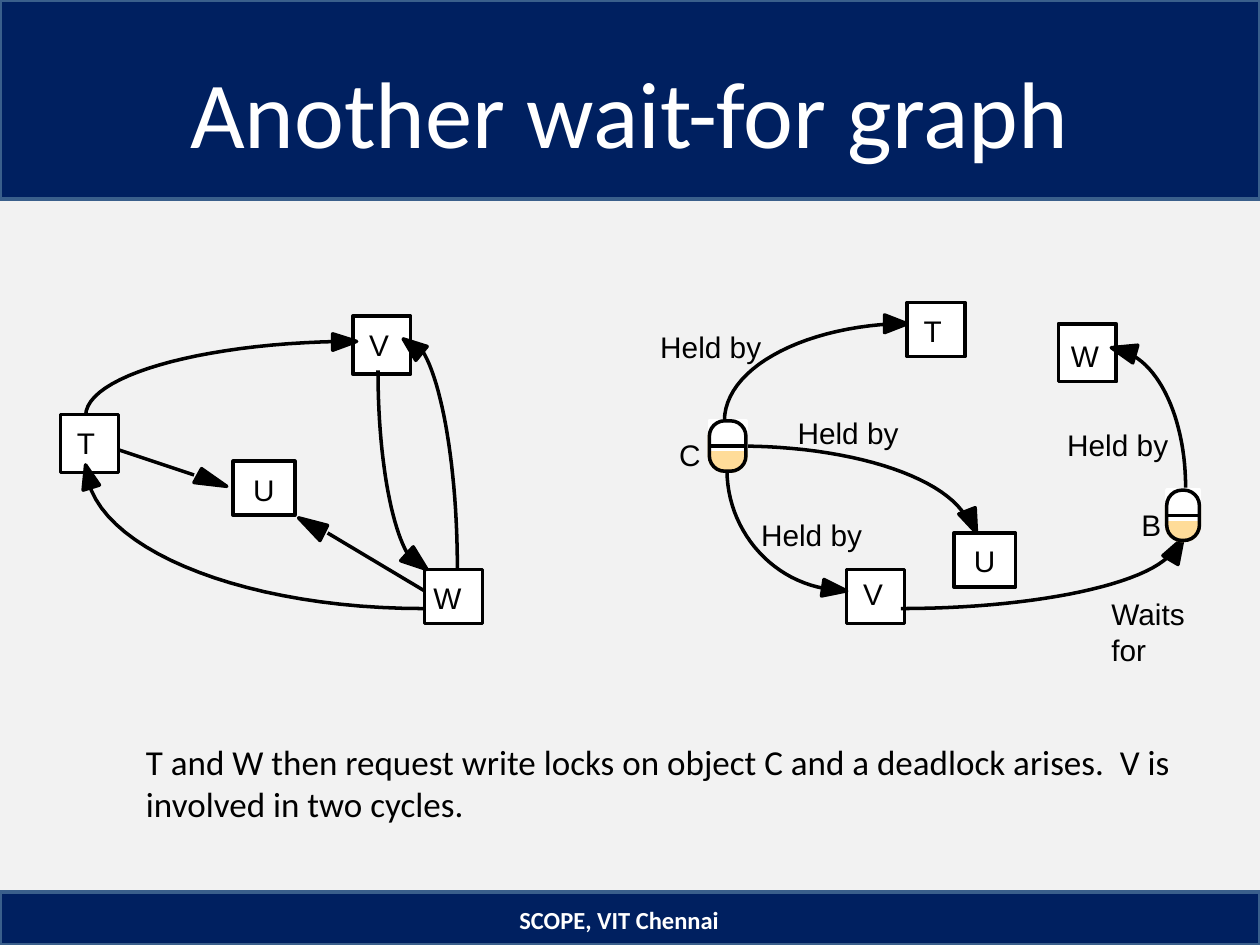
"""Build the wait-for graph slide."""
from typing import NamedTuple

import pptx
import pptx.dml.color
import pptx.enum.shapes
import pptx.enum.text
import pptx.oxml
import pptx.oxml.ns
import pptx.util

Inches = pptx.util.Inches
Kind = pptx.enum.shapes.MSO_SHAPE
Align = pptx.enum.text.PP_ALIGN
Anchor = pptx.enum.text.MSO_ANCHOR
Point = tuple[float, float]

NAVY, EDGE, GREY = "002060", "3A5F8B", "F2F2F2"
BLACK, WHITE, SAND = "000000", "FFFFFF", "FFDC99"
STEPS = 24


class Node(NamedTuple):
    name: str
    x: float
    y: float
    wide: float
    high: float
    dx: float
    dy: float


class Label(NamedTuple):
    text: str
    x: float
    y: float
    wide: float
    wrap: bool = False


class Store(NamedTuple):
    x: float
    y: float
    wide: float
    bend: float


class Link(NamedTuple):
    route: tuple[Point, ...]
    head: tuple[Point, Point, Point]


NODES = [
    Node("T", 0.48, 3.29, 0.46, 0.46, 0.13, 0.08),
    Node("U", 1.85, 3.66, 0.49, 0.43, 0.16, 0.08),
    Node("V", 2.8, 2.51, 0.46, 0.46, 0.13, 0.08),
    Node("W", 3.37, 4.52, 0.46, 0.43, 0.07, 0.08),
    Node("T", 7.2, 2.4, 0.46, 0.43, 0.13, 0.08),
    Node("U", 7.57, 4.23, 0.49, 0.43, 0.16, 0.08),
    Node("V", 6.72, 4.52, 0.46, 0.43, 0.13, 0.05),
    Node("W", 8.4, 2.57, 0.46, 0.46, 0.1, 0.11),
]
LABELS = [
    Label("C", 5.39, 3.47, 0.17),
    Label("B", 9.06, 4.02, 0.16),
    Label("Held by", 5.24, 2.61, 0.8),
    Label("Held by", 6.33, 3.29, 0.8),
    Label("Held by", 6.04, 4.1, 0.8),
    Label("Held by", 8.47, 3.39, 0.8),
    Label("Waits for", 8.82, 4.73, 0.92, True),
]
STORES = [Store(5.63, 3.34, 0.29, 0.42), Store(9.26, 3.89, 0.26, 0.47)]
LINKS = [
    Link(((5.86, 3.54), (6.73, 3.54), (7.46, 3.77), (7.66, 4.09)),
         ((7.61, 4.08), (7.74, 4.03), (7.75, 4.23))),
    Link(((5.77, 3.73), (5.77, 4.19), (6.1, 4.59), (6.54, 4.67)),
         ((6.52, 4.73), (6.54, 4.6), (6.72, 4.69))),
    Link(((5.75, 3.34), (5.75, 2.94), (6.33, 2.61), (7.09, 2.57)),
         ((7.02, 2.64), (7.02, 2.5), (7.2, 2.57))),
    Link(((0.68, 3.3), (0.68, 2.99), (1.57, 2.73), (2.7, 2.71)),
         ((2.64, 2.78), (2.64, 2.65), (2.83, 2.71))),
    Link(((9.41, 3.87), (9.41, 3.37), (9.23, 2.94), (8.97, 2.81)),
         ((9.03, 2.74), (8.99, 2.88), (8.82, 2.76))),
    Link(((7.15, 4.83), (8.14, 4.83), (9.02, 4.66), (9.27, 4.42)),
         ((9.35, 4.48), (9.23, 4.41), (9.39, 4.27))),
    Link(((3.36, 4.83), (2, 4.83), (0.86, 4.4), (0.7, 3.82)),
         ((0.79, 3.85), (0.66, 3.89), (0.68, 3.69))),
    Link(((3.63, 4.51), (3.63, 3.73), (3.51, 3.03), (3.35, 2.78)),
         ((3.39, 2.75), (3.3, 2.86), (3.2, 2.69))),
    Link(((3, 2.94), (3, 3.6), (3.1, 4.19), (3.25, 4.42)),
         ((3.18, 4.45), (3.28, 4.34), (3.39, 4.52))),
    Link(((0.94, 3.57), (1.54, 3.77)),
         ((1.6, 3.72), (1.54, 3.83), (1.8, 3.86))),
    Link(((3.37, 4.69), (2.6, 4.23)),
         ((2.54, 4.29), (2.6, 4.17), (2.37, 4.11))),
]


def tint(code: str):
    return pptx.dml.color.RGBColor.from_string(code)


def paint(shape, fill: str | None, line: str | None):
    shape.shadow.inherit = False
    if fill:
        shape.fill.solid()
        shape.fill.fore_color.rgb = tint(fill)
    else:
        shape.fill.background()
    if line:
        shape.line.color.rgb = tint(line)
        shape.line.width = pptx.util.Pt(2)
    else:
        shape.line.fill.background()
    return shape


def block(slide, kind, x: float, y: float, wide: float, high: float,
          fill: str | None = None, line: str | None = None):
    shape = slide.shapes.add_shape(
        kind, Inches(x), Inches(y), Inches(wide), Inches(high))
    return paint(shape, fill, line)


def write(box, text: str, *, size: float = 17, font: str = "Arial",
          color: str = BLACK, bold: bool = False, align=Align.LEFT,
          anchor=Anchor.TOP, wrap: bool = True,
          inset: Point = (0, 0)) -> None:
    frame = box.text_frame
    frame.auto_size = pptx.enum.text.MSO_AUTO_SIZE.NONE
    frame.word_wrap = wrap
    frame.vertical_anchor = anchor
    frame.margin_left = frame.margin_right = Inches(inset[0])
    frame.margin_top = frame.margin_bottom = Inches(inset[1])
    para = frame.paragraphs[0]
    para.alignment = align
    run = para.add_run()
    run.text = text
    run.font.size = pptx.util.Pt(size)
    run.font.name = font
    run.font.bold = bold
    run.font.color.rgb = tint(color)


def place(slide, x: float, y: float, wide: float, high: float):
    return slide.shapes.add_textbox(
        Inches(x), Inches(y), Inches(wide), Inches(high))


def trace(slide, points: list[Point], close: bool):
    spots = [(Inches(x), Inches(y)) for x, y in points]
    pen = slide.shapes.build_freeform(*spots[0])
    pen.add_line_segments(spots[1:], close=close)
    return paint(pen.convert_to_shape(), BLACK if close else None, BLACK)


def stroke(slide, start: Point, end: Point) -> None:
    ends = [Inches(v) for v in (*start, *end)]
    line = slide.shapes.add_connector(
        pptx.enum.shapes.MSO_CONNECTOR.STRAIGHT, *ends)
    line.line.color.rgb = tint(BLACK)
    line.line.width = pptx.util.Pt(2)
    props = line.element.find(pptx.oxml.ns.qn("p:spPr"))
    props.append(pptx.oxml.parse_xml(
        f"<a:effectLst {pptx.oxml.ns.nsdecls('a')}/>"))


def curve(route: tuple[Point, ...]) -> list[Point]:
    points = []
    for step in range(STEPS + 1):
        t = step / STEPS
        parts = ((1 - t) ** 3, 3 * t * (1 - t) ** 2,
                 3 * t * t * (1 - t), t ** 3)
        points.append((sum(p * spot[0] for p, spot in zip(parts, route)),
                       sum(p * spot[1] for p, spot in zip(parts, route))))
    return points


def draw_node(slide, node: Node) -> None:
    block(slide, Kind.RECTANGLE, node.x, node.y, node.wide, node.high,
          WHITE, BLACK)
    box = place(slide, node.x + node.dx, node.y + node.dy, 0.2, 0.28)
    write(box, node.name)


def draw_store(slide, store: Store) -> None:
    x, y, wide, bend = store
    base = block(slide, Kind.ROUNDED_RECTANGLE, x, y, wide, 0.4, SAND, SAND)
    block(slide, Kind.RECTANGLE, x, y, wide, 0.23, WHITE, WHITE)
    rim = block(slide, Kind.ROUNDED_RECTANGLE, x, y, wide, 0.4, None, BLACK)
    base.adjustments[0] = rim.adjustments[0] = bend
    stroke(slide, (x, y + 0.2), (x + wide, y + 0.2))


def draw_link(slide, link: Link) -> None:
    if len(link.route) == 2:
        stroke(slide, *link.route)
    else:
        trace(slide, curve(link.route), False)
    trace(slide, list(link.head), True)


def main() -> None:
    deck = pptx.Presentation()
    deck.slide_width, deck.slide_height = Inches(10), Inches(7.5)
    slide = deck.slides.add_slide(deck.slide_layouts[5])
    slide.background.fill.solid()
    slide.background.fill.fore_color.rgb = tint(GREY)
    for top, high in ((0, 1.58), (7.08, 0.42)):
        block(slide, Kind.RECTANGLE, 0, top, 10, high, NAVY, EDGE)
    title = slide.shapes.title
    title.element.getparent().append(title.element)
    title.left, title.top = Inches(0.33), Inches(0.25)
    title.width, title.height = Inches(9.33), Inches(1.25)
    write(title, "Another wait-for graph", size=54, font="Calibri",
          color=WHITE, align=Align.CENTER, anchor=Anchor.MIDDLE,
          inset=(0.1, 0.05))
    for node in NODES:
        draw_node(slide, node)
    for link in LINKS:
        draw_link(slide, link)
    for store in STORES:
        draw_store(slide, store)
    for label in LABELS:
        box = place(slide, label.x, label.y, label.wide, 0.28)
        write(box, label.text, wrap=label.wrap)
    write(place(slide, 1.06, 5.83, 9.19, 0.76),
          "T and W then request write locks on object C and a deadlock "
          "arises.  V is involved in two cycles.",
          size=20, font="Calibri", inset=(0.1, 0.05))
    write(place(slide, 2.75, 7.1, 4.33, 0.4), "SCOPE, VIT Chennai",
          size=14, font="Calibri", color=WHITE, bold=True,
          align=Align.CENTER, anchor=Anchor.MIDDLE, inset=(0.1, 0.05))
    deck.save("out.pptx")


if __name__ == "__main__":
    main()
